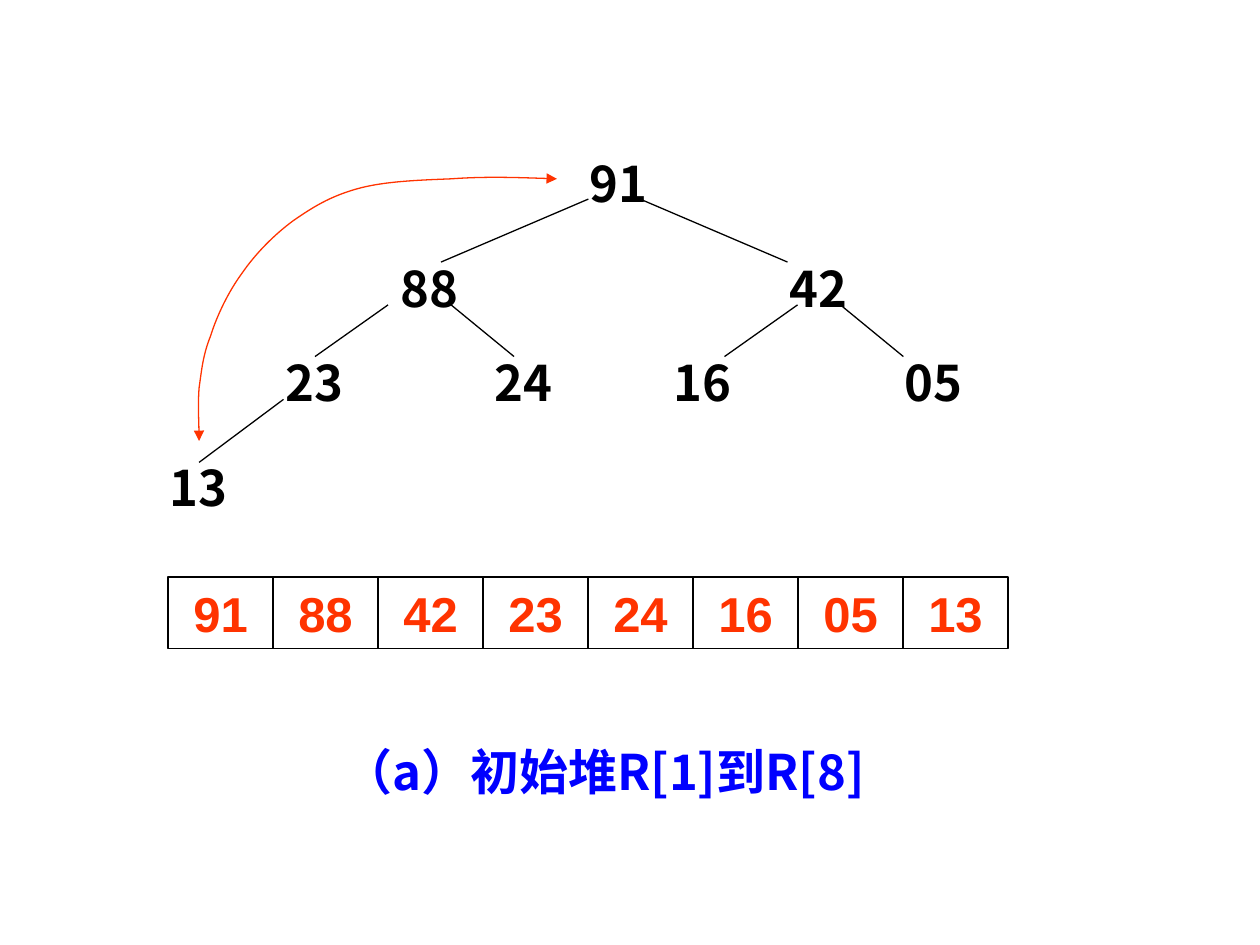
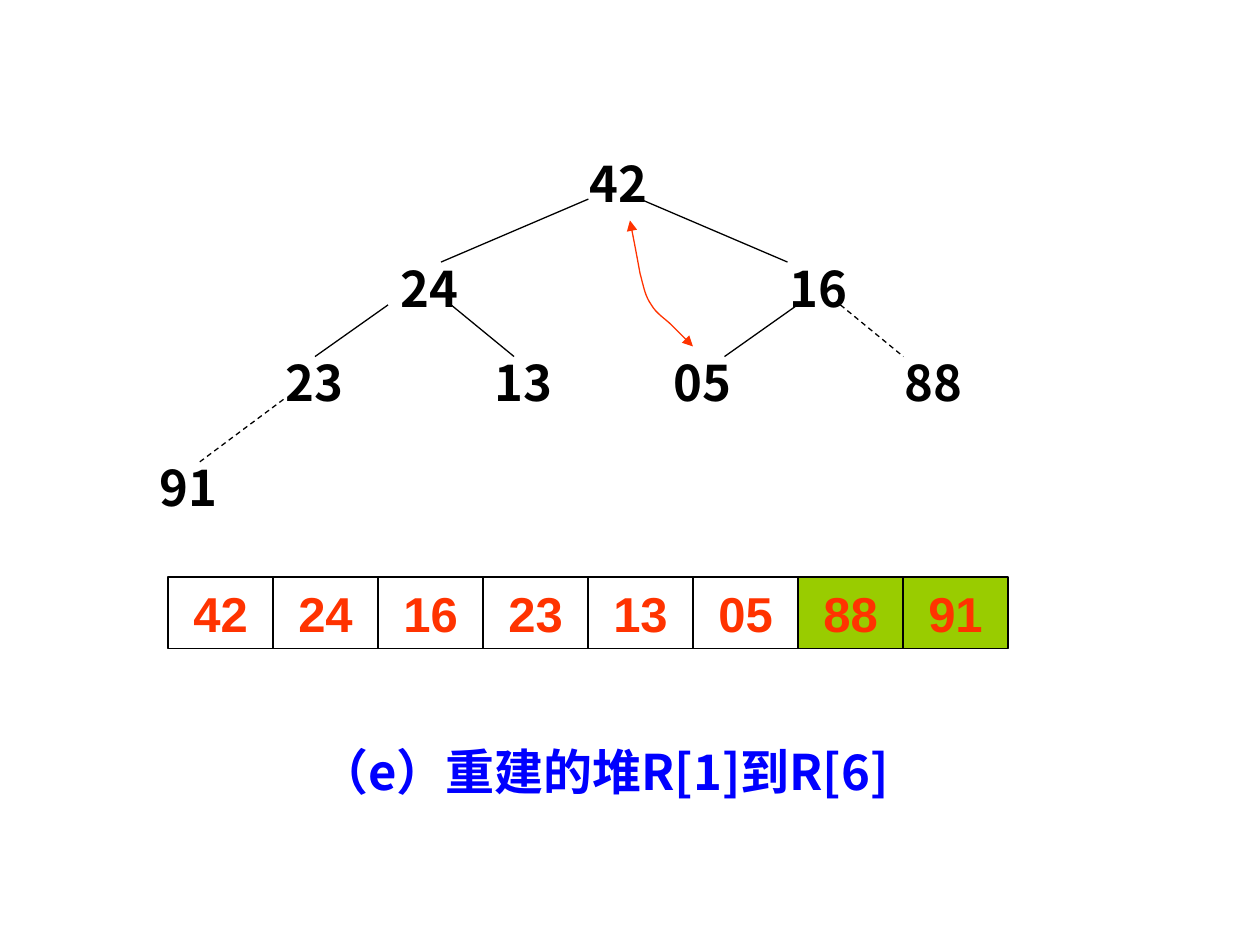
"""Build two heap sort slides, each with a heap tree, its array and a caption."""
from dataclasses import dataclass

from lxml import etree
from pptx import Presentation
from pptx.dml.color import RGBColor
from pptx.enum.dml import MSO_LINE
from pptx.enum.shapes import MSO_CONNECTOR, MSO_SHAPE
from pptx.enum.text import MSO_ANCHOR, MSO_AUTO_SIZE, PP_ALIGN
from pptx.oxml.ns import qn
from pptx.util import Inches, Pt

STRAIGHT = MSO_CONNECTOR.STRAIGHT
RECTANGLE = MSO_SHAPE.RECTANGLE
DASH = MSO_LINE.DASH
MIDDLE = MSO_ANCHOR.MIDDLE
NO_AUTOFIT = MSO_AUTO_SIZE.NONE
LEFT, CENTER = PP_ALIGN.LEFT, PP_ALIGN.CENTER
TITLE_ONLY = 5


@dataclass(frozen=True)
class Theme:
    ink: RGBColor = RGBColor(0x00, 0x00, 0x00)
    accent: RGBColor = RGBColor(0xFF, 0x33, 0x00)
    caption: RGBColor = RGBColor(0x00, 0x00, 0xFF)
    sorted_fill: RGBColor = RGBColor(0x99, 0xCC, 0x00)
    cjk_font: str = "Noto Sans CJK SC"
    cell_font: str = "Arial"
    size: Pt = Pt(28)
    line: Pt = Pt(0.75)


theme = Theme()

ROW_HEIGHT = 0.57
NODE_WIDTH = 0.67
CELL_WIDTH = 5 / 6
ARRAY_LEFT, ARRAY_TOP = 4 / 3, 4.58
NODE_PLACES = [(4.58, 1.17), (3.08, 2), (6.17, 2), (2.17, 2.75),
               (3.83, 2.75), (5.25, 2.75), (7.08, 2.75)]
LAST_NODE_TOP = 3.58
EDGES = [
    (4.67, 1.58, 3.5, 2.08),
    (5.08, 1.58, 6.25, 2.08),
    (3.08, 2.42, 2.5, 2.83),
    (3.58, 2.42, 4.08, 2.83),
    (6.33, 2.42, 5.75, 2.83),
    (6.67, 2.42, 7.17, 2.83),
    (2.25, 3.17, 1.58, 3.67),
]

HEAPS = [
    {
        "caption": "（a）初始堆R[1]到R[8]",
        "keys": ["91", "88", "42", "23", "24", "16", "05", "13"],
        "heap_size": 8,
        "last_node_left": 1.25,
        "swap_curve": [
            (1.58, 3.5),
            (1.58, 3.36), (1.57, 3.22), (1.58, 3.08),
            (1.6, 2.94), (1.61, 2.82), (1.67, 2.67),
            (1.72, 2.51), (1.81, 2.32), (1.92, 2.17),
            (2.03, 2.01), (2.18, 1.86), (2.33, 1.75),
            (2.49, 1.64), (2.62, 1.56), (2.83, 1.5),
            (3.04, 1.44), (3.32, 1.43), (3.58, 1.42),
            (3.85, 1.4), (4.13, 1.41), (4.42, 1.42),
        ],
    },
    {
        "caption": "（e）重建的堆R[1]到R[6]",
        "keys": ["42", "24", "16", "23", "13", "05", "88", "91"],
        "heap_size": 6,
        "last_node_left": 1.17,
        "swap_curve": [
            (5.5, 2.75),
            (5.44, 2.69), (5.39, 2.64), (5.33, 2.58),
            (5.28, 2.53), (5.21, 2.49), (5.17, 2.42),
            (5.12, 2.35), (5.11, 2.28), (5.08, 2.17),
            (5.06, 2.06), (5.03, 1.9), (5, 1.75),
        ],
    },
]


def write(shape, text, font_name, color, align):
    """Put one bold run in a shape, centred vertically."""
    frame = shape.text_frame
    frame.word_wrap = True
    frame.auto_size = NO_AUTOFIT
    frame.vertical_anchor = MIDDLE
    frame.margin_left = frame.margin_right = Inches(0.1)
    frame.margin_top = frame.margin_bottom = Inches(0.05)
    paragraph = frame.paragraphs[0]
    paragraph.alignment = align
    run = paragraph.add_run()
    run.text = text
    run.font.size = theme.size
    run.font.bold = True
    run.font.color.rgb = color
    run.font.name = font_name
    east_asian = etree.SubElement(run.font._element, qn("a:ea"))
    east_asian.set("typeface", font_name)


def draw_line(line, color):
    """Give a line its colour and the shared width."""
    line.color.rgb = color
    line.width = theme.line


prs = Presentation()
prs.slide_width, prs.slide_height = Inches(10), Inches(7.5)

for heap in HEAPS:
    slide = prs.slides.add_slide(prs.slide_layouts[TITLE_ONLY])
    shapes = slide.shapes

    caption = shapes.title
    caption.left, caption.top = Inches(1.92), Inches(5.83)
    caption.width, caption.height = Inches(5.75), Inches(ROW_HEIGHT)
    write(caption, heap["caption"], theme.cjk_font, theme.caption, CENTER)

    node_places = NODE_PLACES + [(heap["last_node_left"], LAST_NODE_TOP)]
    for key, (left, top) in zip(heap["keys"], node_places):
        node = shapes.add_textbox(Inches(left), Inches(top),
                                  Inches(NODE_WIDTH), Inches(ROW_HEIGHT))
        write(node, key, theme.cjk_font, theme.ink, LEFT)

    for child, ends in enumerate(EDGES, start=1):
        edge = shapes.add_connector(STRAIGHT, *map(Inches, ends))
        draw_line(edge.line, theme.ink)
        if child >= heap["heap_size"]:
            edge.line.dash_style = DASH
        etree.SubElement(edge._element.spPr, qn("a:effectLst"))

    for index, key in enumerate(heap["keys"]):
        cell = shapes.add_shape(
            RECTANGLE, Inches(ARRAY_LEFT + index * CELL_WIDTH), Inches(ARRAY_TOP),
            Inches(CELL_WIDTH), Inches(ROW_HEIGHT))
        cell.shadow.inherit = False
        if index < heap["heap_size"]:
            cell.fill.background()
        else:
            cell.fill.solid()
            cell.fill.fore_color.rgb = theme.sorted_fill
        draw_line(cell.line, theme.ink)
        write(cell, key, theme.cell_font, theme.accent, CENTER)

    start, *curve_points = [(Inches(x), Inches(y)) for x, y in heap["swap_curve"]]
    builder = shapes.build_freeform(*start)
    builder.add_line_segments(curve_points, close=False)
    swap = builder.convert_to_shape()
    swap.shadow.inherit = False
    swap.fill.background()
    draw_line(swap.line, theme.accent)
    outline = swap._element.find(".//" + qn("a:path"))
    segments = outline.findall(qn("a:lnTo"))
    for first in range(0, len(segments), 3):
        bezier = etree.SubElement(outline, qn("a:cubicBezTo"))
        for segment in segments[first:first + 3]:
            bezier.append(segment[0])
            outline.remove(segment)
    stroke = swap._element.spPr.find(qn("a:ln"))
    for arrow_end in ("a:headEnd", "a:tailEnd"):
        etree.SubElement(stroke, qn(arrow_end)).set("type", "triangle")

prs.save("out.pptx")
